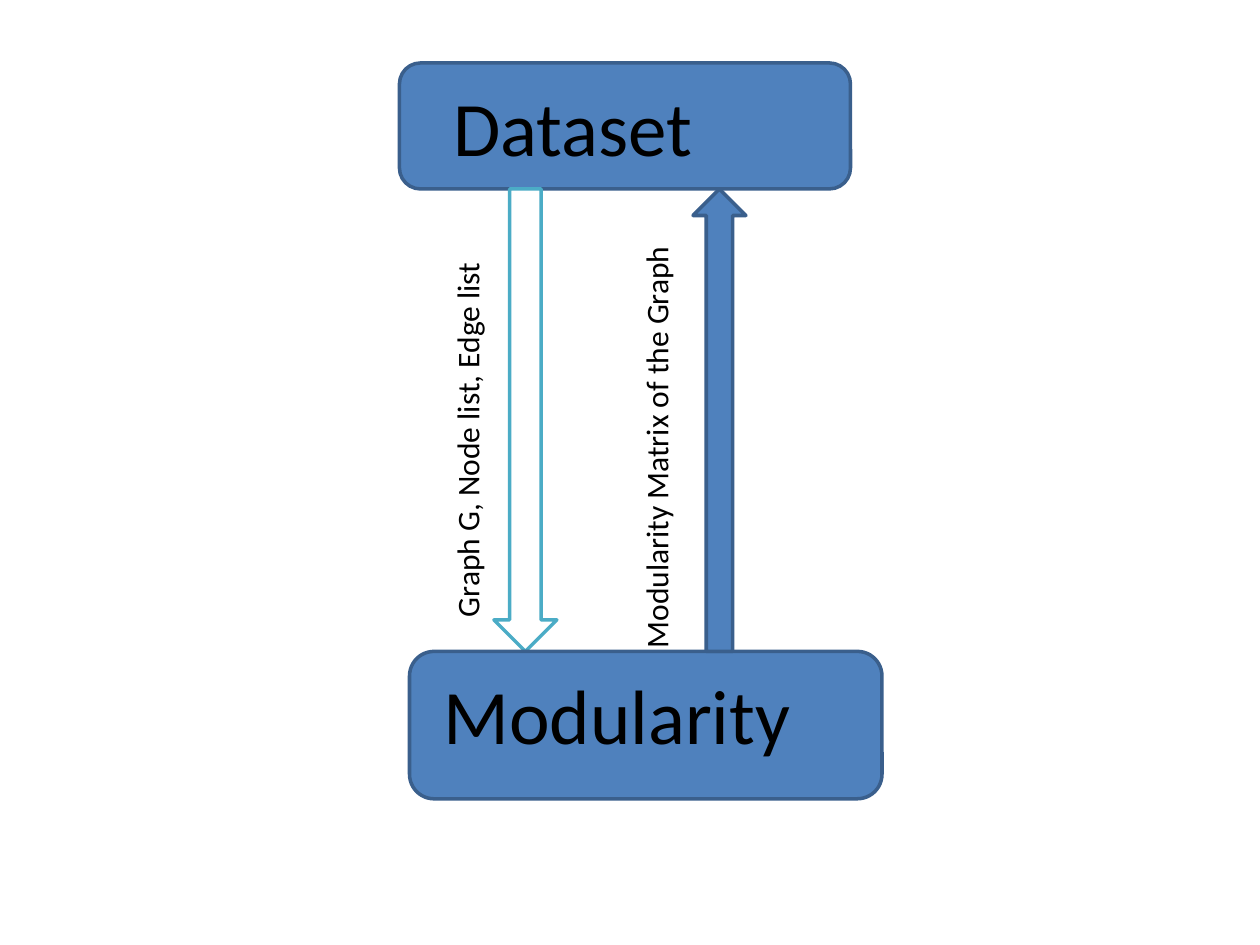
import pptx
import pptx.util
import pptx.dml.color
import pptx.enum.shapes
import pptx.enum.text

Inches = pptx.util.Inches
SHAPES = pptx.enum.shapes.MSO_SHAPE
COLOURS = {
    "blue": "4F81BD",
    "blue_edge": "3A5F8C",
    "teal": "4BACC6",
    "white": "FFFFFF",
    "black": "000000",
}


def rgb(name):
    """Return the named colour."""
    return pptx.dml.color.RGBColor.from_string(COLOURS[name])


def add_block(slide, preset, box, fill="blue", edge="blue_edge", rotation=0):
    """Add a filled, outlined preset shape; box is left, top, width, height."""
    block = slide.shapes.add_shape(preset, *map(Inches, box))
    block.rotation = rotation
    block.shadow.inherit = False
    block.fill.solid()
    block.fill.fore_color.rgb = rgb(fill)
    block.line.color.rgb = rgb(edge)
    block.line.width = pptx.util.Pt(2)


def add_label(slide, text, box, size, rotation=0):
    """Add a black text label; box is left, top, width, height."""
    label = slide.shapes.add_textbox(*map(Inches, box))
    label.rotation = rotation
    frame = label.text_frame
    frame.word_wrap = True
    frame.auto_size = pptx.enum.text.MSO_AUTO_SIZE.SHAPE_TO_FIT_TEXT
    paragraph = frame.paragraphs[0]
    paragraph.text = text
    paragraph.font.name = "Calibri"
    paragraph.font.size = pptx.util.Pt(size)
    paragraph.font.color.rgb = rgb("black")


def main():
    """Build the data exchange between Dataset and Modularity."""
    deck = pptx.Presentation()
    deck.slide_width, deck.slide_height = Inches(10), Inches(7.5)
    slide = deck.slides.add_slide(deck.slide_layouts.get_by_name("Blank"))

    dataset_bottom, modularity_top = 1.5, 5.17
    gap = modularity_top - dataset_bottom

    add_block(slide, SHAPES.ROUNDED_RECTANGLE, (3.17, 0.5, 3.58, 1))
    add_label(slide, "Dataset", (3.5, 0.58, 3.25, 0.84), 44)
    add_block(slide, SHAPES.DOWN_ARROW, (3.92, dataset_bottom, 0.5, gap),
              fill="white", edge="teal")

    add_block(slide, SHAPES.ROUNDED_RECTANGLE,
              (3.25, modularity_top, 3.75, 1.17))
    add_label(slide, "Modularity", (3.42, 5.25, 3.42, 0.84), 44)
    add_block(slide, SHAPES.DOWN_ARROW, (5.5, dataset_bottom, 0.42, gap),
              rotation=180)

    add_label(slide, "Graph G, Node list, Edge list",
              (1.87, 2.96, 3.67, 0.4), 18, rotation=270)
    add_label(slide, "Modularity Matrix of the Graph",
              (3.33, 3.17, 3.75, 0.4), 18, rotation=270)

    deck.save("out.pptx")


main()
